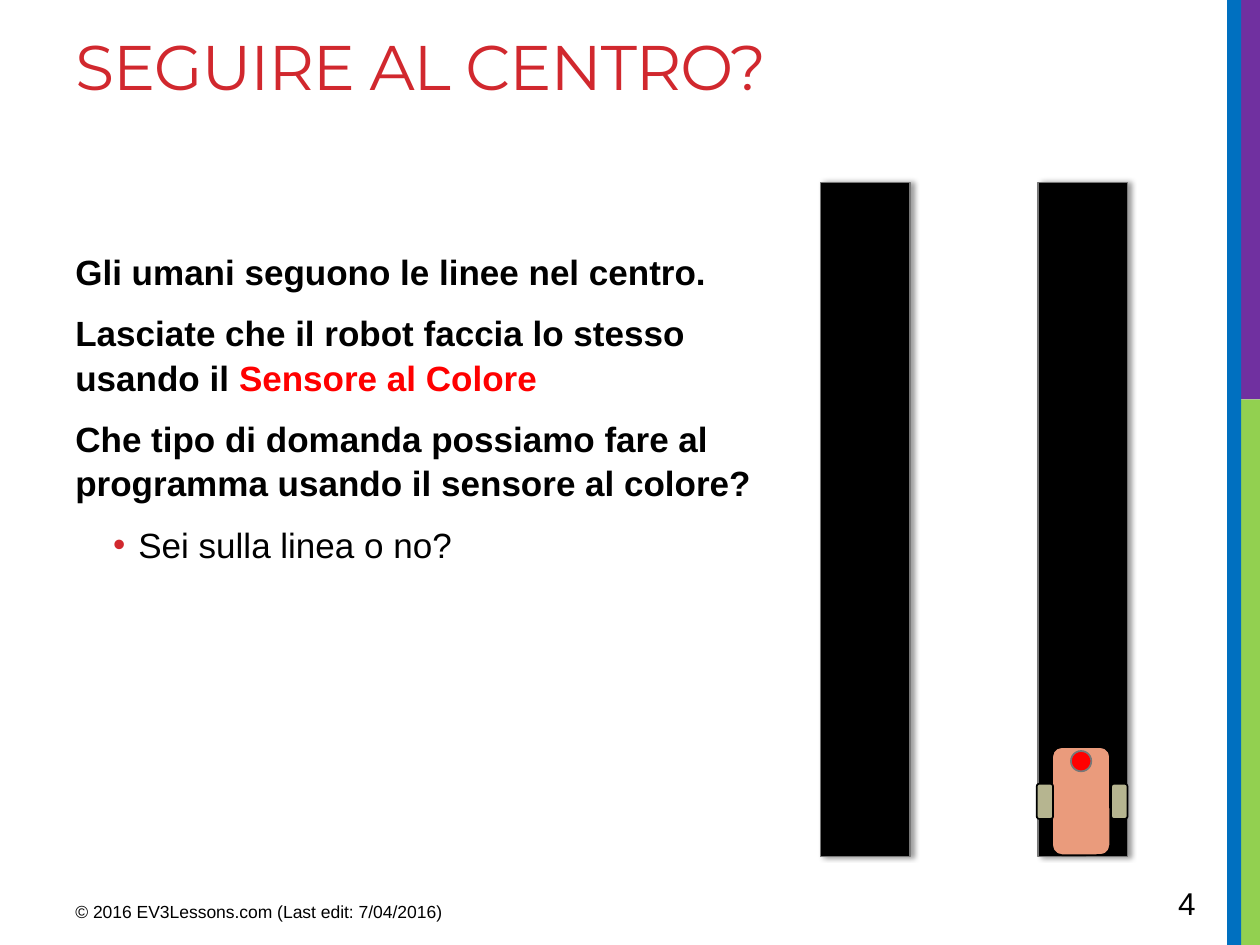
from dataclasses import dataclass

from lxml.etree import SubElement
from pptx import Presentation
from pptx.dml.color import RGBColor
from pptx.enum.shapes import MSO_SHAPE
from pptx.enum.text import MSO_ANCHOR
from pptx.oxml.ns import qn
from pptx.util import Cm, Pt


@dataclass(frozen=True)
class Theme:
    red: str = "D1282E"
    accent: str = "FF0000"
    black: str = "000000"
    gray: str = "777777"
    blue: str = "0070C0"
    green: str = "92D050"
    purple: str = "7030A0"
    chassis: str = "EA9B7C"
    wheel: str = "B6B590"
    title_font: str = "Montserrat"
    body_font: str = "Arial"
    title_size: int = 36
    body_size: int = 20
    number_size: int = 18
    footer_size: int = 10


THEME = Theme()

TITLE = "SEGUIRE AL CENTRO?"
STATEMENTS = [
    [("Gli umani seguono le linee nel centro.", THEME.black)],
    [("Lasciate che il robot faccia lo stesso usando il ", THEME.black),
     ("Sensore al Colore", THEME.accent)],
    [("Che tipo di domanda possiamo fare al programma usando il sensore al colore?",
      THEME.black)],
]
ANSWER = "Sei sulla linea o no?"
FOOTER = "© 2016 EV3Lessons.com (Last edit: 7/04/2016)"
NUMBER = "4"

# Places are left, top, width, height in centimetres.
STRIPES = [
    ((24.74, 0, 0.25, 19.05), THEME.blue),
    ((24.99, 8.05, 0.41, 11), THEME.green),
    ((24.89, 0, 0.51, 8.05), THEME.purple),
    ((24.77, 0, 0.25, 19.05), THEME.blue),
]
TRACK_LEFTS = (16.54, 20.93)
ROUNDED = MSO_SHAPE.ROUNDED_RECTANGLE
ROBOT = [
    (ROUNDED, (21.21, 15.06, 1.17, 2.18), THEME.chassis, THEME.black),
    (ROUNDED, (22.4, 15.8, 0.33, 0.71), THEME.wheel, THEME.black),
    (ROUNDED, (20.9, 15.8, 0.33, 0.71), THEME.wheel, THEME.black),
    (MSO_SHAPE.OVAL, (21.59, 15.14, 0.41, 0.41), THEME.accent, THEME.gray),
]


def color(value):
    return RGBColor.from_string(value)


def add_shape(shapes, kind, place, fill, line=None):
    shape = shapes.add_shape(kind, *map(Cm, place))
    shape.shadow.inherit = False
    shape.fill.solid()
    shape.fill.fore_color.rgb = color(fill)
    if line:
        shape.line.color.rgb = color(line)
        shape.line.width = Pt(1)
    else:
        shape.line.fill.background()
    return shape


def add_side_shadow(shape):
    """Cast a soft shadow to the right of the shape."""
    effects = shape._element.spPr.find(qn("a:effectLst"))
    shadow = SubElement(effects, qn("a:outerShdw"), blurRad=str(Pt(3.1)),
                        dist=str(Pt(1.8)), dir="0", rotWithShape="0")
    tint = SubElement(shadow, qn("a:srgbClr"), val=THEME.black)
    SubElement(tint, qn("a:alpha"), val="40000")


def add_box(page, place, anchor=MSO_ANCHOR.TOP):
    box = page.shapes.add_textbox(*map(Cm, place))
    box.text_frame.word_wrap = True
    box.text_frame.vertical_anchor = anchor
    return box.text_frame


def style(paragraph, size, font=THEME.body_font, tone=THEME.black, bold=False):
    paragraph.font.name = font
    paragraph.font.size = Pt(size)
    paragraph.font.bold = bold
    if tone:
        paragraph.font.color.rgb = color(tone)


def add_line(page, place, text, size, anchor=MSO_ANCHOR.TOP, **look):
    paragraph = add_box(page, place, anchor).paragraphs[0]
    span = paragraph.add_run()
    span.text = text
    style(paragraph, size, **look)
    return span


def add_bullet(paragraph):
    properties = paragraph._p.get_or_add_pPr()
    properties.set("lvl", "1")
    properties.set("marL", str(Cm(1.27)))
    properties.set("indent", str(Cm(-0.51)))
    tint = SubElement(properties, qn("a:buClr"))
    SubElement(tint, qn("a:srgbClr"), val=THEME.red)
    SubElement(properties, qn("a:buFont"), typeface=THEME.body_font)
    SubElement(properties, qn("a:buChar"), char="•")


def add_body(page):
    frame = add_box(page, (1.27, 4.88, 14.48, 12.14))
    rows = [(spans, True) for spans in STATEMENTS]
    rows.append(([(ANSWER, THEME.black)], False))
    for index, (spans, bold) in enumerate(rows):
        paragraph = frame.add_paragraph() if index else frame.paragraphs[0]
        if not bold:
            add_bullet(paragraph)
        paragraph.line_spacing = 1.05
        paragraph.space_before = Pt(4 if index else 0)
        paragraph.space_after = Pt(6 if bold else 0)
        for text, tone in spans:
            span = paragraph.add_run()
            span.text = text
            span.font.color.rgb = color(tone)
        style(paragraph, THEME.body_size, tone=None, bold=bold)


def main():
    deck = Presentation()
    deck.slide_width, deck.slide_height = Cm(25.4), Cm(19.05)
    page = deck.slides.add_slide(deck.slide_layouts[6])

    for place, fill in STRIPES:
        add_shape(page.shapes, MSO_SHAPE.RECTANGLE, place, fill)

    title = add_line(page, (1.27, 0.43, 22.91, 3.81), TITLE, THEME.title_size,
                     font=THEME.title_font, tone=THEME.red)
    title._r.get_or_add_rPr().set("spc", "-60")
    add_body(page)
    add_line(page, (1.27, 18.03, 9.53, 0.79), FOOTER, THEME.footer_size)
    add_line(page, (23.5, 17.7, 1.75, 1.02), NUMBER, THEME.number_size,
             MSO_ANCHOR.MIDDLE)

    for left in TRACK_LEFTS:
        track = add_shape(page.shapes, MSO_SHAPE.RECTANGLE,
                          (left, 3.68, 1.8, 13.59), THEME.black, THEME.gray)
        add_side_shadow(track)

    robot = page.shapes.add_group_shape()
    for part in ROBOT:
        add_shape(robot.shapes, *part)

    deck.save("out.pptx")


if __name__ == "__main__":
    main()
